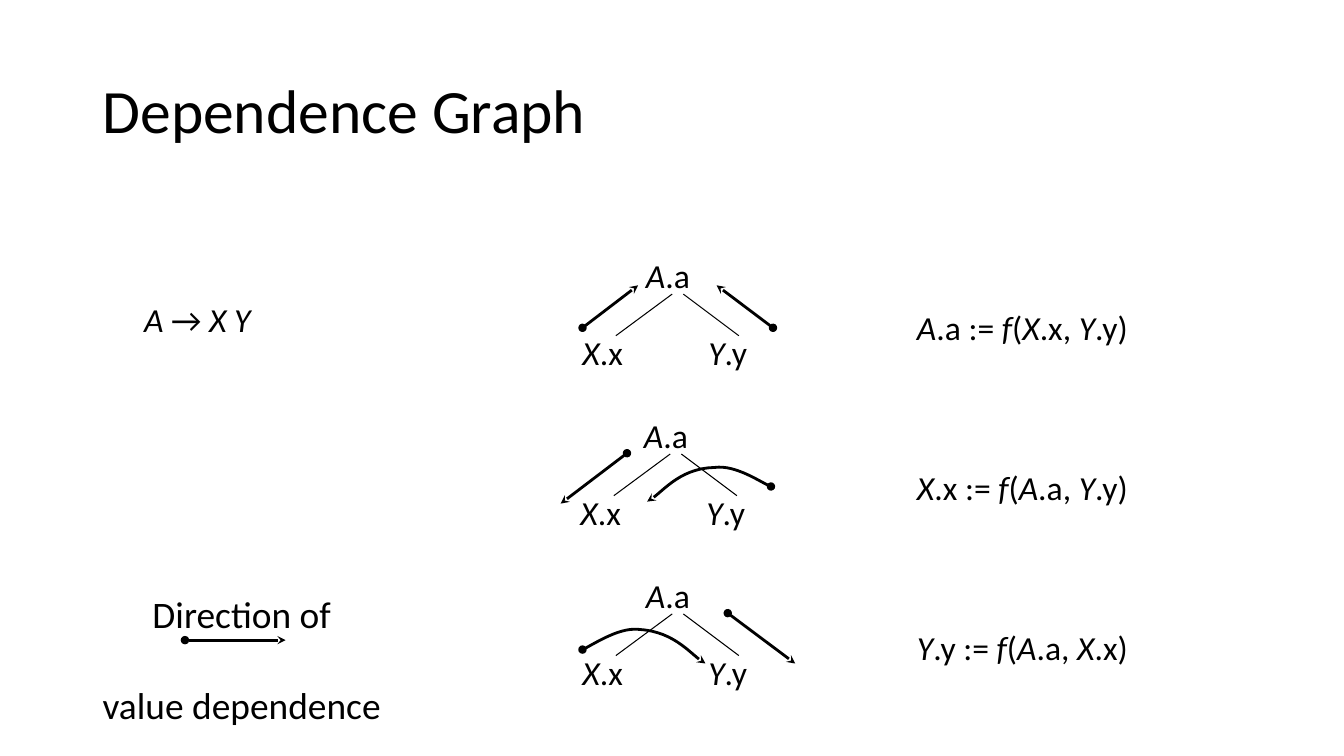
from lxml.etree import SubElement
from pptx import Presentation
from pptx.dml.color import RGBColor
from pptx.enum.shapes import MSO_CONNECTOR
from pptx.enum.text import MSO_ANCHOR, MSO_AUTO_SIZE, PP_ALIGN
from pptx.oxml.ns import qn
from pptx.util import Cm, Pt

BLACK = RGBColor(0, 0, 0)
WHITE = RGBColor(255, 255, 255)

ROW_TOP = 6.3
ROW_PITCH = 4.03
TREE_LABELS = [("_A_.a", 0, 0, 1.63), ("_X_.x", -1.6, 1.95, 1.55), ("_Y_.y", 1.57, 1.95, 1.5)]
TREE_EDGES = [((0.91, 1.11), (-0.51, 2.16)), ((1.19, 1.11), (2.59, 2.16))]
RULES = [
    {
        "formula": "_A_.a := _f_(_X_.x, _Y_.y)",
        "left": 16.03,
        "arrows": [((-1.35, 1.96), (0.05, 0.89)), ((3.45, 1.96), (2.03, 0.89))],
        "curves": [],
    },
    {
        "formula": "_X_.x := _f_(_A_.a, _Y_.y)",
        "left": 15.98,
        "arrows": [((-0.18, 1.09), (-1.85, 2.36))],
        "curves": [[(3.45, 1.93), (3.23, 1.85), (2.57, 1.37), (2.03, 1.45),
                    (1.09, 1.47), (0.69, 2.13), (0.33, 2.31)]],
    },
    {
        "formula": "_Y_.y := _f_(_A_.a, _X_.x)",
        "left": 16.03,
        "arrows": [((2.31, 1.09), (4.01, 2.36))],
        "curves": [[(-1.35, 2.01), (-1.12, 1.91), (-0.46, 1.45), (0.05, 1.5),
                    (1.02, 1.55), (1.4, 2.18), (1.75, 2.36)]],
    },
]


def bezier_points(controls, steps=16):
    points = [controls[0]]
    for first in range(0, len(controls) - 1, 3):
        start, bend_out, bend_in, end = controls[first:first + 4]
        for step in range(1, steps + 1):
            t = step / steps
            weights = ((1 - t) ** 3, 3 * t * (1 - t) ** 2, 3 * t ** 2 * (1 - t), t ** 3)
            points.append(tuple(
                sum(weight * value for weight, value in zip(weights, axis))
                for axis in zip(start, bend_out, bend_in, end)
            ))
    return points


class GraphPage:
    font = "Calibri"
    text_size = 24
    edge_width = 0.75
    arrow_width = 2

    def __init__(self, deck):
        self.page = deck.slides.add_slide(deck.slide_layouts[5])
        self.page.background.fill.solid()
        self.page.background.fill.fore_color.rgb = WHITE

    def spans(self, para, text, size):
        for index, part in enumerate(text.split("_")):
            if part:
                span = para.add_run()
                span.text = part
                span.font.name = self.font
                span.font.size = Pt(size)
                span.font.italic = index % 2 == 1
                span.font.color.rgb = BLACK

    def title(self, text):
        box = self.page.shapes.title
        box.left, box.top, box.width, box.height = Cm(2.33), Cm(1.01), Cm(29.21), Cm(3.68)
        frame = box.text_frame
        frame.auto_size = MSO_AUTO_SIZE.NONE
        frame.vertical_anchor = MSO_ANCHOR.MIDDLE
        para = frame.paragraphs[0]
        para.alignment = PP_ALIGN.LEFT
        para.line_spacing = 0.9
        self.spans(para, text, 44)

    def label(self, lines, left, top, width, height=1.28, size=None, align=PP_ALIGN.LEFT, gap=0):
        frame = self.page.shapes.add_textbox(Cm(left), Cm(top), Cm(width), Cm(height)).text_frame
        frame.word_wrap = False
        frame.auto_size = MSO_AUTO_SIZE.SHAPE_TO_FIT_TEXT
        for index, line in enumerate(lines):
            para = frame.add_paragraph() if index else frame.paragraphs[0]
            para.alignment = align
            para.space_before = Pt(gap if index else 0)
            self.spans(para, line, size or self.text_size)

    def stroke(self, shape, width, arrow):
        shape.line.color.rgb = BLACK
        shape.line.width = Pt(width)
        if arrow:
            outline = shape.line._get_or_add_ln()
            SubElement(outline, qn("a:headEnd"), type="oval")
            SubElement(outline, qn("a:tailEnd"), type="stealth")

    def line(self, start, end, arrow=False):
        connector = self.page.shapes.add_connector(
            MSO_CONNECTOR.STRAIGHT, *(Cm(value) for value in (*start, *end)))
        self.stroke(connector, self.arrow_width if arrow else self.edge_width, arrow)
        SubElement(connector._element.spPr, qn("a:effectLst"))

    def curve(self, controls):
        points = [(Cm(x), Cm(y)) for x, y in bezier_points(controls)]
        builder = self.page.shapes.build_freeform(*points[0])
        builder.add_line_segments(points[1:], close=False)
        shape = builder.convert_to_shape()
        shape.fill.background()
        self.stroke(shape, self.arrow_width, True)
        shape.shadow.inherit = False

    def rule(self, top, formula, left, arrows, curves):
        def place(points):
            return [(left + x, top + y) for x, y in points]

        self.label([formula], 22.86, top + 1.32, 5.87)
        for text, x, y, width in TREE_LABELS:
            self.label([text], left + x, top + y, width)
        for edge in TREE_EDGES:
            self.line(*place(edge))
        for arrow in arrows:
            self.line(*place(arrow), arrow=True)
        for controls in curves:
            self.curve(place(controls))


def main():
    deck = Presentation()
    deck.slide_width, deck.slide_height = Cm(33.87), Cm(19.05)
    graph = GraphPage(deck)
    graph.title("Dependence Graph")
    graph.label(["_A _→ _X Y_"], 3.38, 7.42, 3.28)
    for index, rule in enumerate(RULES):
        graph.rule(ROW_TOP + index * ROW_PITCH, **rule)
    graph.line((4.66, 16.13), (7.2, 16.13), arrow=True)
    graph.label(["Direction of", "value dependence"], 2.31, 14.78, 7.57, 3.68,
                size=26.7, align=PP_ALIGN.CENTER, gap=32.6)
    deck.save("out.pptx")


if __name__ == "__main__":
    main()
